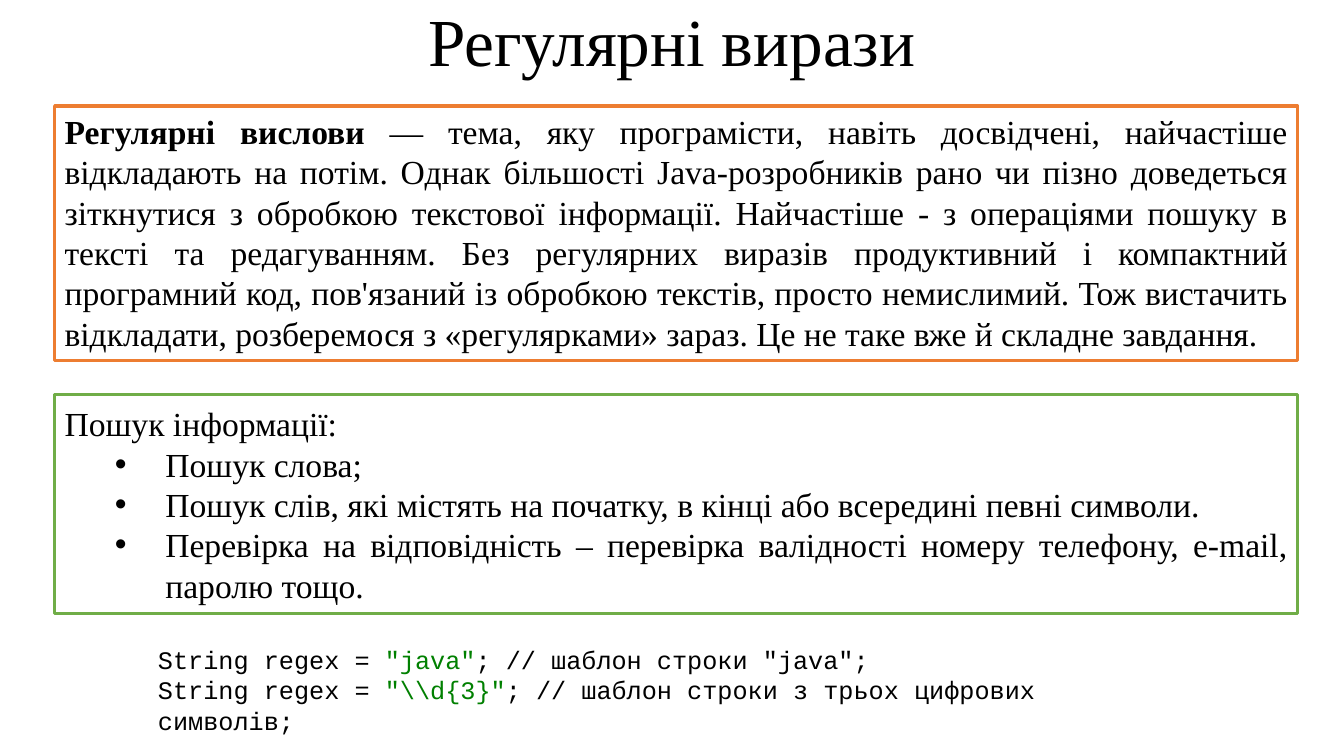
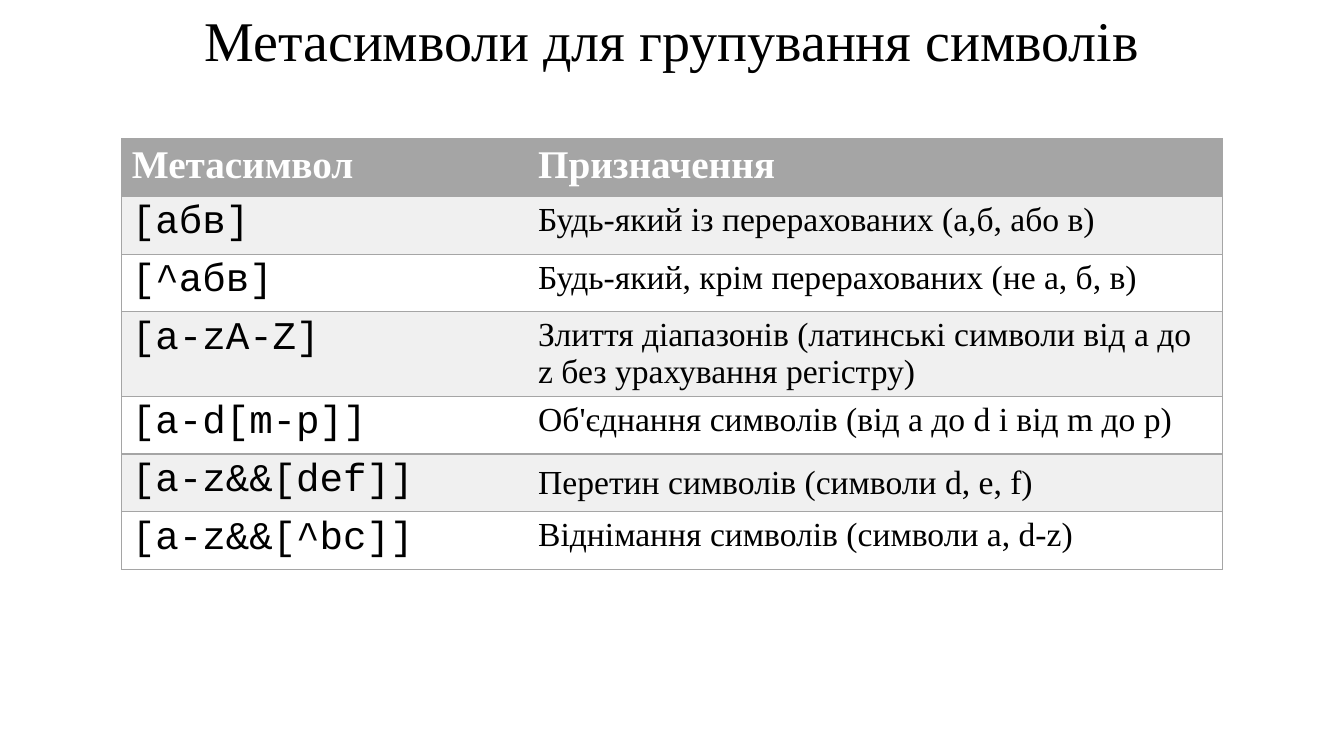
from dataclasses import dataclass

from lxml.etree import SubElement
from pptx import Presentation
from pptx.dml.color import RGBColor
from pptx.enum.shapes import MSO_SHAPE
from pptx.enum.text import MSO_ANCHOR, MSO_AUTO_SIZE, PP_ALIGN
from pptx.oxml.ns import qn
from pptx.util import Emu, Pt

PX = 9525  # EMU per px, 96 px to the inch
COLORS = {
    "text": "000000",
    "white": "FFFFFF",
    "orange": "ED7D31",
    "green": "70AD47",
    "string": "008000",
    "gray": "A5A5A5",
    "band": "F0F0F0",
}
SERIF, MONO = "Times New Roman", "Courier New"


@dataclass
class Run:
    text: str
    color: str = "text"
    bold: bool = False


@dataclass
class Para:
    runs: list[Run]
    bullet: bool = False


@dataclass
class Frame:
    top: int
    height: int
    color: str
    anchor: MSO_ANCHOR
    paras: list[Para]


@dataclass
class Row:
    symbol: str
    meaning: str
    anchor: MSO_ANCHOR = MSO_ANCHOR.TOP


FRAMES = [
    Frame(101, 242, "orange", MSO_ANCHOR.TOP, [
        Para([
            Run("Регулярні вислови", bold=True),
            Run(" — тема, яку програмісти, навіть досвідчені, найчастіше "
                "відкладають на потім. Однак більшості Java-розробників рано "
                "чи пізно доведеться зіткнутися з обробкою текстової "
                "інформації. Найчастіше - з операціями пошуку в тексті та "
                "редагуванням. Без регулярних виразів продуктивний і "
                "компактний програмний код, пов'язаний із обробкою текстів, "
                "просто немислимий. Тож вистачить відкладати, розберемося з "
                "«регулярками» зараз. Це не таке вже й складне завдання."),
        ]),
    ]),
    Frame(376, 208, "green", MSO_ANCHOR.MIDDLE, [
        Para([Run("Пошук інформації:")]),
        Para([Run("Пошук слова;")], bullet=True),
        Para([Run("Пошук слів, які містять на початку, в кінці або всередині "
                  "певні символи.")], bullet=True),
        Para([Run("Перевірка на відповідність – перевірка валідності номеру "
                  "телефону, e-mail, паролю тощо.")], bullet=True),
    ]),
]
CODE = [
    Para([Run("String regex = "), Run('"java"', "string"),
          Run('; // шаблон строки "java";')]),
    Para([Run("String regex = "), Run(r'"\\d{3}"', "string"),
          Run("; // шаблон строки з трьох цифрових символів;")]),
]
ROWS = [
    Row("Метасимвол", "Призначення"),
    Row("[абв]", "Будь-який із перерахованих (а,б, або в)"),
    Row("[^абв]", "Будь-який, крім перерахованих (не а, б, в)"),
    Row("[a-zA-Z]", "Злиття діапазонів (латинські символи від a до z без "
                    "урахування регістру)"),
    Row("[a-d[m-p]]", "Об'єднання символів (від a до d і від m до p)"),
    Row("[a-z&&[def]]", "Перетин символів (символи d, e, f)",
        MSO_ANCHOR.MIDDLE),
    Row("[a-z&&[^bc]]", "Віднімання символів (символи a, d-z)"),
]


def px(*values: int) -> list[Emu]:
    return [Emu(v * PX) for v in values]


def rgb(name: str) -> RGBColor:
    return RGBColor.from_string(COLORS[name])


def apply(obj, **values) -> None:
    for name, value in values.items():
        setattr(obj, name, value)


def add_bullet(p) -> None:
    pPr = p._p.get_or_add_pPr()
    apply_attrs = {"marL": 96 * PX, "indent": -48 * PX, "lvl": 1}
    for name, value in apply_attrs.items():
        pPr.set(name, str(value))
    SubElement(pPr, qn("a:buFont")).set("typeface", "Arial")
    SubElement(pPr, qn("a:buChar")).set("char", "•")


def write(tf, paras: list[Para], size: int, font: str = SERIF,
          align: PP_ALIGN = PP_ALIGN.LEFT, spacing: float = 1.0) -> None:
    for i, para in enumerate(paras):
        p = tf.add_paragraph() if i else tf.paragraphs[0]
        apply(p, alignment=align, line_spacing=spacing)
        if para.bullet:
            add_bullet(p)
        for run in para.runs:
            r = p.add_run()
            r.text = run.text
            apply(r.font, size=Pt(size), name=font, bold=run.bold)
            r.font.color.rgb = rgb(run.color)


def add_slide(prs, title: str, height: int, size: int, spacing: float):
    s = prs.slides.add_slide(prs.slide_layouts[5])
    sp = s.shapes.title
    left, top, width, height = px(0, 0, 1280, height)
    apply(sp, left=left, top=top, width=width, height=height)
    tf = sp.text_frame
    apply(tf, word_wrap=True, auto_size=MSO_AUTO_SIZE.NONE,
          vertical_anchor=MSO_ANCHOR.MIDDLE)
    write(tf, [Para([Run(title)])], size, align=PP_ALIGN.CENTER,
          spacing=spacing)
    return s


def add_frame(s, frame: Frame) -> None:
    sp = s.shapes.add_shape(MSO_SHAPE.RECTANGLE,
                            *px(52, frame.top, 1184, frame.height))
    sp.shadow.inherit = False
    sp.fill.background()
    sp.line.color.rgb = rgb(frame.color)
    sp.line.width = Pt(2.25)
    apply(sp.text_frame, word_wrap=True, vertical_anchor=frame.anchor)
    write(sp.text_frame, frame.paras, 24, align=PP_ALIGN.JUSTIFY)


def add_code(s) -> None:
    tf = s.shapes.add_textbox(*px(141, 609, 996, 68)).text_frame
    apply(tf, word_wrap=True, auto_size=MSO_AUTO_SIZE.SHAPE_TO_FIT_TEXT)
    write(tf, CODE, 18, MONO)


def set_borders(cell, open_side: str) -> None:
    """Outline a cell in gray, leaving one side without a line."""
    tcPr = cell._tc.get_or_add_tcPr()
    for side in ("lnL", "lnR", "lnT", "lnB"):
        ln = SubElement(tcPr, qn(f"a:{side}"), w=str(Pt(1)))
        if side == open_side:
            SubElement(ln, qn("a:noFill"))
        else:
            fill = SubElement(ln, qn("a:solidFill"))
            SubElement(fill, qn("a:srgbClr"), val=COLORS["gray"])


def add_symbol_table(s) -> None:
    widths = px(387, 661)
    table = s.shapes.add_table(len(ROWS), len(widths),
                               *px(116, 132, 1048, 55 * len(ROWS))).table
    for column, width in zip(table.columns, widths):
        column.width = width
    for i, row in enumerate(ROWS):
        header = i == 0
        fill = "gray" if header else "band" if i % 2 else "white"
        for j, text in enumerate((row.symbol, row.meaning)):
            cell = table.cell(i, j)
            set_borders(cell, "lnL" if j else "lnR")
            cell.fill.solid()
            cell.fill.fore_color.rgb = rgb(fill)
            cell.vertical_anchor = row.anchor if j else MSO_ANCHOR.TOP
            run = Run(text, "white" if header else "text", header)
            write(cell.text_frame, [Para([run])],
                  28 if header or j == 0 else 24,
                  SERIF if header or j else MONO)


def main() -> None:
    prs = Presentation()
    prs.slide_width, prs.slide_height = px(1280, 720)

    # Regular expressions
    s = add_slide(prs, "Регулярні вирази", 85, 48, 0.9)
    for frame in FRAMES:
        add_frame(s, frame)
    add_code(s)

    # Grouping metacharacters
    s = add_slide(prs, "Метасимволи для групування символів", 74, 40, 1.0)
    add_symbol_table(s)

    prs.save("out.pptx")


if __name__ == "__main__":
    main()
